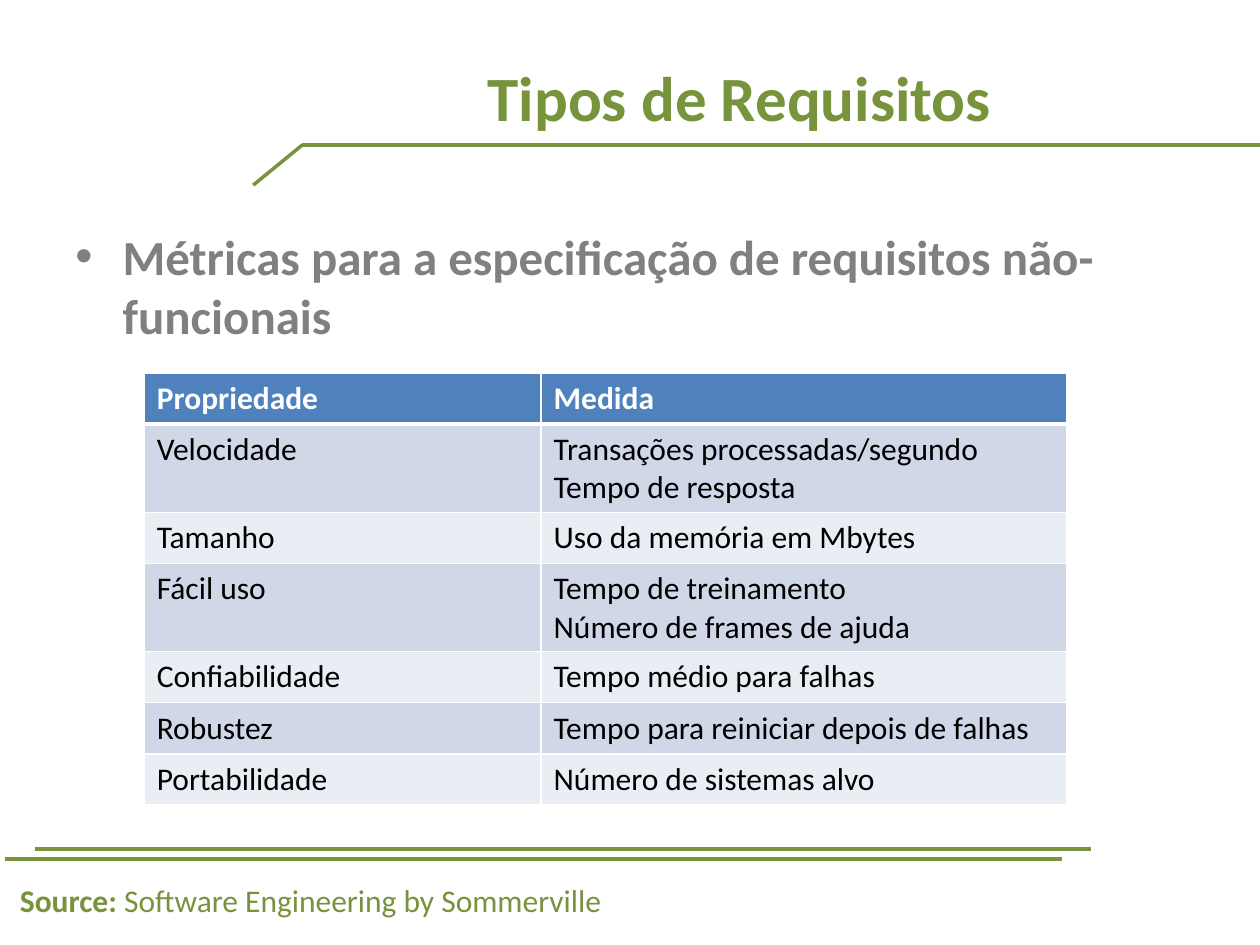
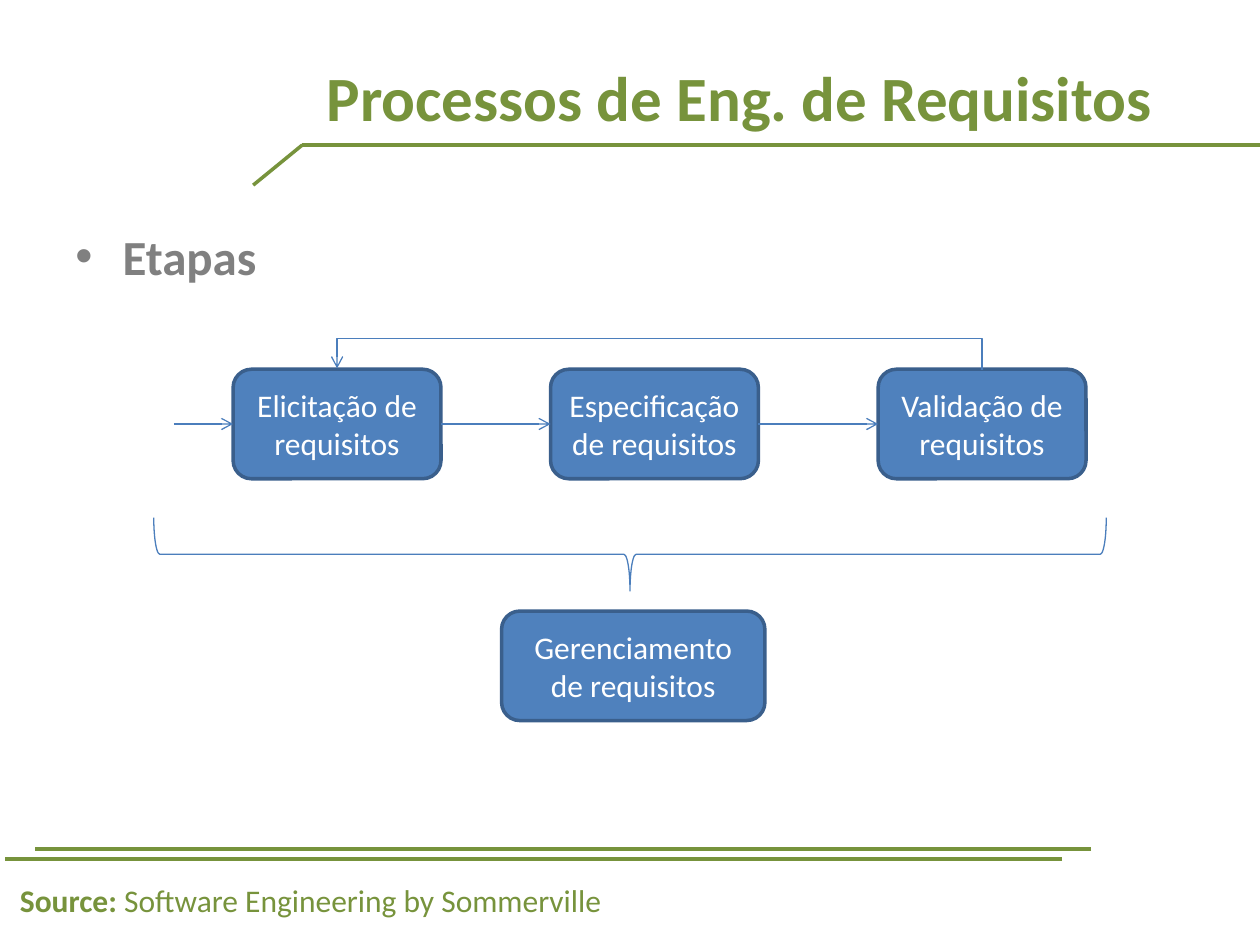
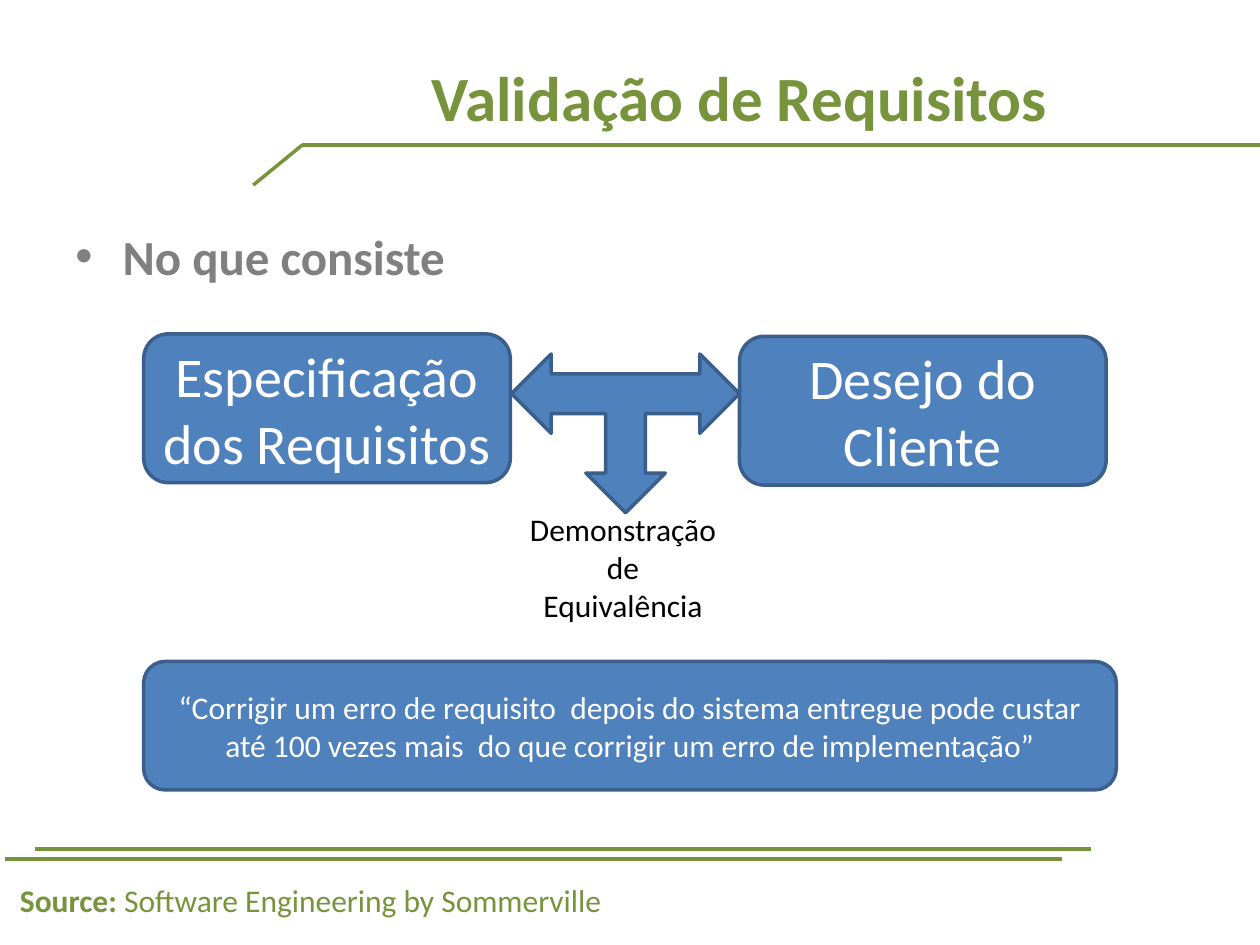
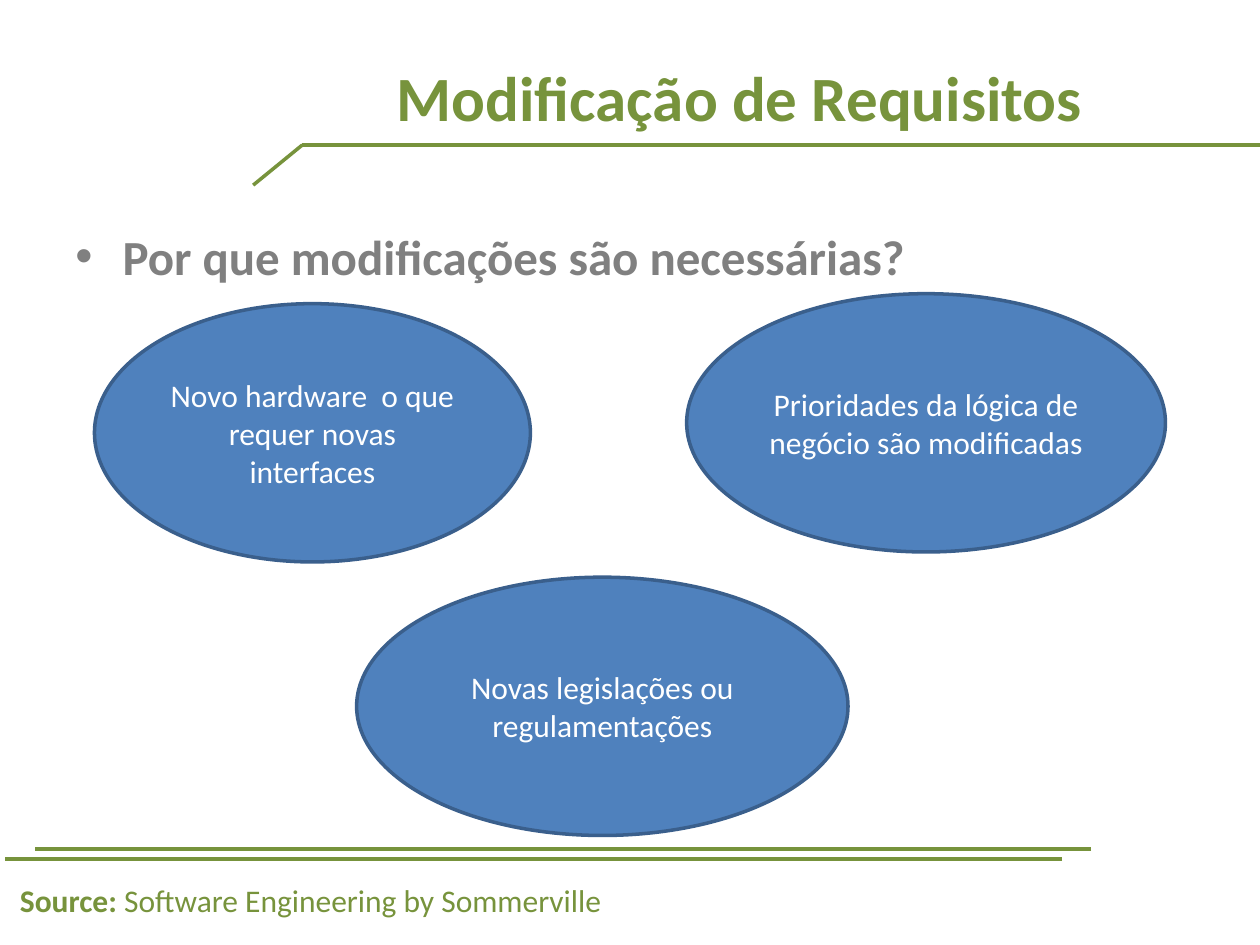
from dataclasses import dataclass

from lxml.etree import SubElement
from pptx import Presentation
from pptx.dml.color import RGBColor
from pptx.enum.shapes import MSO_CONNECTOR, MSO_SHAPE
from pptx.enum.text import MSO_ANCHOR, MSO_AUTO_SIZE, PP_ALIGN
from pptx.oxml.ns import qn
from pptx.shapes.autoshape import Shape
from pptx.shapes.connector import Connector
from pptx.slide import Slide
from pptx.table import _Cell
from pptx.text.text import TextFrame
from pptx.util import Pt

# Shared look
FONT = "Calibri"
GREEN = RGBColor(0x77, 0x93, 0x3C)
GRAY = RGBColor(0x80, 0x80, 0x80)
BLUE = RGBColor(0x4F, 0x81, 0xBD)
OUTLINE = RGBColor(0x3A, 0x5F, 0x8C)
ARROW = RGBColor(0x4B, 0x7E, 0xBC)
BAND_DARK = RGBColor(0xD0, 0xD8, 0xE8)
BAND_LIGHT = RGBColor(0xE9, 0xED, 0xF4)
WHITE = RGBColor(0xFF, 0xFF, 0xFF)
BLACK = RGBColor(0, 0, 0)


@dataclass(frozen=True)
class Area:
    left: float
    top: float
    width: float
    height: float

    def lengths(self) -> tuple[Pt, Pt, Pt, Pt]:
        return Pt(self.left), Pt(self.top), Pt(self.width), Pt(self.height)


@dataclass(frozen=True)
class Node:
    area: Area
    text: str
    size: float = 18


@dataclass(frozen=True)
class Line:
    start_x: float
    start_y: float
    end_x: float
    end_y: float


FRAME_LINES = [
    Line(623.5, 485.3, 20.2, 485.3),
    Line(607, 491, 2.9, 491),
    Line(720, 82.8, 172.8, 82.8),
    Line(172.8, 82.8, 144.7, 105.8),
]
FOOTER_AREA = Area(4.3, 499.7, 355, 28.8)
TITLE_AREA = Area(161.3, 10.1, 522.7, 90)
HEADING_AREA = Area(36, 126, 650, 47.5)
HEADING_INDENT = 27

# Table of metrics
TABLE_LEFT, TABLE_TOP = 82.4, 213.1
COLUMN_WIDTHS = [226.8, 300.2]
ROW_HEIGHT = 29.2
METRICS = [
    ("Propriedade", "Medida"),
    ("Velocidade", "Transações processadas/segundo\nTempo de resposta"),
    ("Tamanho", "Uso da memória em Mbytes"),
    ("Fácil uso", "Tempo de treinamento\nNúmero de frames de ajuda"),
    ("Confiabilidade", "Tempo médio para falhas"),
    ("Robustez", "Tempo para reiniciar depois de falhas"),
    ("Portabilidade", "Número de sistemas alvo"),
]

# Process steps
STEP_TOP, STEP_WIDTH, STEP_HEIGHT = 211, 118.8, 62.6
STEPS = [
    (133.2, "Elicitação de requisitos"),
    (314.6, "Especificação de requisitos"),
    (501.8, "Validação de requisitos"),
]
MANAGEMENT = Node(Area(286.6, 349.2, 150.5, STEP_HEIGHT), "Gerenciamento de requisitos")
BRACE_AREA = Area(339.1, 44.6, 41.8, 544.3)
ENTRY_X = 99.4
RETURN_RISE = 18

# Validation boxes and reasons for change
VALIDATION_NODES = [
    Node(Area(82.1, 190.8, 209.5, 85), "Especificação dos Requisitos", 32),
    Node(Area(422.6, 192.2, 209.5, 85), "Desejo do Cliente", 32),
    Node(
        Area(82.1, 378, 555.8, 73.4),
        "“Corrigir um erro de requisito  depois do sistema entregue pode custar "
        "até 100 vezes mais  do que corrigir um erro de implementação”",
    ),
]
REASON_NODES = [
    Node(Area(54, 173.5, 249.1, 147.6), "Novo hardware  o que requer novas interfaces"),
    Node(Area(203.8, 329.8, 280.8, 147.6), "Novas legislações ou regulamentações"),
    Node(Area(392.4, 167.8, 273.6, 147.6), "Prioridades da lógica de negócio são modificadas"),
]


def format_text(text_frame: TextFrame, size: float, color: RGBColor, bold: bool = False,
                alignment: PP_ALIGN = PP_ALIGN.LEFT) -> None:
    for paragraph in text_frame.paragraphs:
        paragraph.alignment = alignment
        for run in paragraph.runs:
            run.font.name = FONT
            run.font.size = Pt(size)
            run.font.bold = bold
            run.font.color.rgb = color


def add_text(slide: Slide, area: Area, text: str, size: float, color: RGBColor,
             bold: bool = False, alignment: PP_ALIGN = PP_ALIGN.LEFT) -> TextFrame:
    text_frame = slide.shapes.add_textbox(*area.lengths()).text_frame
    text_frame.word_wrap = True
    text_frame.text = text
    format_text(text_frame, size, color, bold, alignment)
    return text_frame


def add_filled(slide: Slide, kind: MSO_SHAPE, area: Area) -> Shape:
    shape = slide.shapes.add_shape(kind, *area.lengths())
    shape.shadow.inherit = False
    shape.fill.solid()
    shape.fill.fore_color.rgb = BLUE
    shape.line.color.rgb = OUTLINE
    shape.line.width = Pt(2)
    return shape


def add_node(slide: Slide, kind: MSO_SHAPE, node: Node) -> Shape:
    shape = add_filled(slide, kind, node.area)
    shape.text_frame.word_wrap = True
    shape.text_frame.vertical_anchor = MSO_ANCHOR.MIDDLE
    shape.text_frame.text = node.text
    format_text(shape.text_frame, node.size, WHITE, alignment=PP_ALIGN.CENTER)
    return shape


def add_line(slide: Slide, line: Line, color: RGBColor = ARROW, width: float = 0.75,
             kind: MSO_CONNECTOR = MSO_CONNECTOR.STRAIGHT, arrow: bool = True) -> Connector:
    connector = slide.shapes.add_connector(
        kind, Pt(line.start_x), Pt(line.start_y), Pt(line.end_x), Pt(line.end_y))
    connector.line.color.rgb = color
    connector.line.width = Pt(width)
    if arrow:
        SubElement(connector.line._get_or_add_ln(), qn("a:tailEnd"), type="arrow")
    SubElement(connector._element.spPr, qn("a:effectLst"))
    return connector


def add_return_arrow(slide: Slide, start_x: float, end_x: float, top: float) -> None:
    """Elbow that leaves upwards, runs back and comes down on the first step."""
    center_x, span = (start_x + end_x) / 2, start_x - end_x
    # One point wide before its quarter turn, so the bend is counted in points
    unturned = Line(center_x - 0.5, top + span / 2, center_x + 0.5, top - span / 2)
    connector = add_line(slide, unturned, kind=MSO_CONNECTOR.ELBOW)
    properties = connector._element.spPr
    properties.find(qn("a:xfrm")).set("rot", str(270 * 60000))
    geometry = properties.find(qn("a:prstGeom"))
    adjustments = geometry.find(qn("a:avLst"))
    if adjustments is None:
        adjustments = SubElement(geometry, qn("a:avLst"))
    SubElement(adjustments, qn("a:gd"), name="adj1", fmla=f"val {RETURN_RISE * 100000}")


def add_frame(presentation: Presentation, title: str, heading: str) -> Slide:
    """Slide with its green lines, source footer, title and bulleted heading."""
    slide = presentation.slides.add_slide(presentation.slide_layouts[6])
    for line in FRAME_LINES:
        add_line(slide, line, GREEN, 2, arrow=False)

    footer = add_text(slide, FOOTER_AREA, "Source: ", 18, GREEN, bold=True)
    footer.word_wrap = False
    footer.auto_size = MSO_AUTO_SIZE.SHAPE_TO_FIT_TEXT
    footer.paragraphs[0].add_run().text = "Software Engineering by Sommerville"
    format_text(footer, 18, GREEN)
    footer.paragraphs[0].runs[0].font.bold = True

    title_frame = add_text(slide, TITLE_AREA, title, 36, GREEN, True, PP_ALIGN.CENTER)
    title_frame.vertical_anchor = MSO_ANCHOR.MIDDLE

    paragraph = add_text(slide, HEADING_AREA, heading, 28, GRAY, bold=True).paragraphs[0]
    paragraph.space_before = Pt(5.6)
    properties = paragraph._p.get_or_add_pPr()
    properties.set("marL", str(Pt(HEADING_INDENT)))
    properties.set("indent", str(-Pt(HEADING_INDENT)))
    SubElement(properties, qn("a:buFont"), typeface="Arial")
    SubElement(properties, qn("a:buChar"), char="•")
    return slide


def set_borders(cell: _Cell, top: float, bottom: float) -> None:
    properties = cell._tc.get_or_add_tcPr()
    for side, width in (("L", 1), ("R", 1), ("T", top), ("B", bottom)):
        border = SubElement(properties, qn(f"a:ln{side}"), w=str(Pt(width)))
        fill = SubElement(border, qn("a:solidFill"))
        SubElement(fill, qn("a:srgbClr"), val=str(WHITE))


def add_metrics_table(slide: Slide) -> None:
    area = Area(TABLE_LEFT, TABLE_TOP, sum(COLUMN_WIDTHS), ROW_HEIGHT * len(METRICS))
    table = slide.shapes.add_table(len(METRICS), len(COLUMN_WIDTHS), *area.lengths()).table
    for column, width in zip(table.columns, COLUMN_WIDTHS):
        column.width = Pt(width)
    for row_index, texts in enumerate(METRICS):
        table.rows[row_index].height = Pt(ROW_HEIGHT)
        is_header = row_index == 0
        band = BAND_DARK if row_index % 2 else BAND_LIGHT
        for column_index, text in enumerate(texts):
            cell = table.cell(row_index, column_index)
            set_borders(cell, 3 if row_index == 1 else 1, 3 if is_header else 1)
            cell.fill.solid()
            cell.fill.fore_color.rgb = BLUE if is_header else band
            cell.text_frame.text = text
            format_text(cell.text_frame, 18, WHITE if is_header else BLACK, is_header)


def build_metrics(presentation: Presentation) -> None:
    slide = add_frame(presentation, "Tipos de Requisitos",
                      "Métricas para a especificação de requisitos não-funcionais")
    add_metrics_table(slide)


def build_process(presentation: Presentation) -> None:
    slide = add_frame(presentation, "Processos de Eng. de Requisitos", "Etapas")
    steps = [
        add_node(slide, MSO_SHAPE.ROUNDED_RECTANGLE,
                 Node(Area(left, STEP_TOP, STEP_WIDTH, STEP_HEIGHT), text))
        for left, text in STEPS
    ]

    # Arrows into the first step and between neighbours
    middle = STEP_TOP + STEP_HEIGHT / 2
    entry = add_line(slide, Line(ENTRY_X, middle, STEPS[0][0], middle))
    entry.end_connect(steps[0], 1)
    for before, after, (left, _), (next_left, _) in zip(steps, steps[1:], STEPS, STEPS[1:]):
        arrow = add_line(slide, Line(left + STEP_WIDTH, middle, next_left, middle))
        arrow.begin_connect(before, 3)
        arrow.end_connect(after, 1)

    # Brace over all steps
    brace = slide.shapes.add_shape(MSO_SHAPE.RIGHT_BRACE, *BRACE_AREA.lengths())
    brace.rotation = 90
    brace.shadow.inherit = False
    brace.fill.background()
    brace.line.color.rgb = ARROW
    brace.line.width = Pt(0.75)

    add_node(slide, MSO_SHAPE.ROUNDED_RECTANGLE, MANAGEMENT)
    add_return_arrow(slide, STEPS[-1][0] + STEP_WIDTH / 2, STEPS[0][0] + STEP_WIDTH / 2, STEP_TOP)


def build_validation(presentation: Presentation) -> None:
    slide = add_frame(presentation, "Validação de Requisitos", "No que consiste")
    for node in VALIDATION_NODES:
        add_node(slide, MSO_SHAPE.ROUNDED_RECTANGLE, node)
    arrow = add_filled(slide, MSO_SHAPE.LEFT_RIGHT_UP_ARROW, Area(292.3, 202.3, 130.3, 90.7))
    arrow.rotation = 180
    add_text(slide, Area(292.3, 288, 127.4, 72.7), "Demonstração de Equivalência",
             18, BLACK, alignment=PP_ALIGN.CENTER)


def build_changes(presentation: Presentation) -> None:
    slide = add_frame(presentation, "Modificação de Requisitos",
                      "Por que modificações são necessárias?")
    for node in REASON_NODES:
        add_node(slide, MSO_SHAPE.OVAL, node)


def main() -> None:
    presentation = Presentation()
    presentation.slide_width = Pt(720)
    presentation.slide_height = Pt(540)
    build_metrics(presentation)
    build_process(presentation)
    build_validation(presentation)
    build_changes(presentation)
    presentation.save("out.pptx")


if __name__ == "__main__":
    main()
